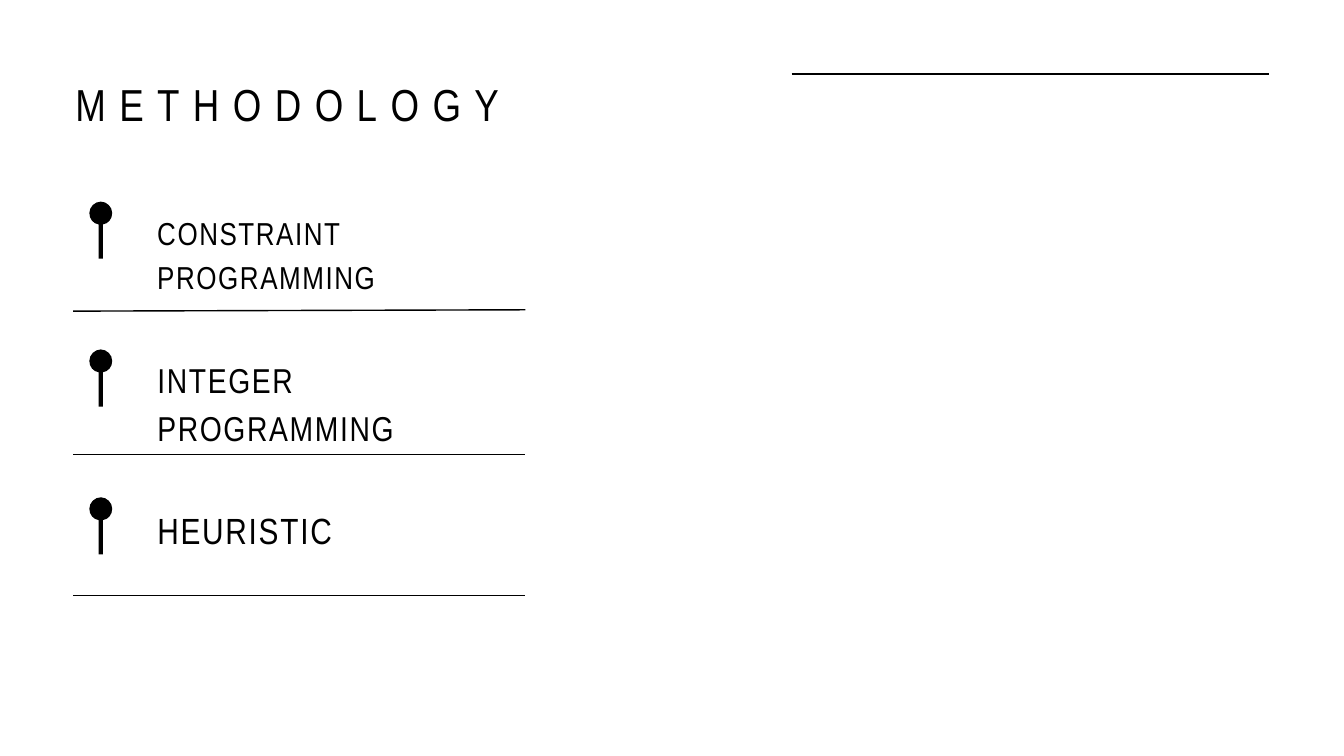
from lxml import etree
from pptx import Presentation
from pptx.dml.color import RGBColor
from pptx.enum.shapes import MSO_CONNECTOR
from pptx.enum.text import MSO_AUTO_SIZE, PP_ALIGN
from pptx.oxml.ns import qn
from pptx.util import Inches, Pt

STRAIGHT = MSO_CONNECTOR.STRAIGHT
GROW = MSO_AUTO_SIZE.SHAPE_TO_FIT_TEXT
JUSTIFY, LEFT = PP_ALIGN.JUSTIFY, PP_ALIGN.LEFT
FONT = "Arial Narrow"
COLOURS = {"ink": "000000", "paper": "FFFFFF"}
INK = RGBColor.from_string(COLOURS["ink"])

presentation = Presentation()
presentation.slide_width = Inches(20)
presentation.slide_height = Inches(11.25)
slide = presentation.slides.add_slide(presentation.slide_layouts[6])
slide.background.fill.solid()
slide.background.fill.fore_color.rgb = RGBColor.from_string(COLOURS["paper"])

# Grid of 20 columns by 11.25 rows
column = presentation.slide_width / 20
row = presentation.slide_height / 11.25


def add_text(text, left, top, width, height, size, leading, tracking, alignment):
    """Add a text box; leading and tracking are shares of the type size."""
    box = slide.shapes.add_textbox(int(left * column), int(top * row),
                                   int(width * column), int(height * row))
    frame = box.text_frame
    frame.word_wrap = True
    frame.auto_size = GROW
    frame.margin_left = frame.margin_right = frame.margin_top = frame.margin_bottom = 0
    paragraph = frame.paragraphs[0]
    paragraph.alignment = alignment
    paragraph.line_spacing = Pt(size * leading)
    run = paragraph.add_run()
    run.text = text
    paragraph.font.name = FONT
    paragraph.font.size = Pt(size)
    paragraph.font.color.rgb = INK
    run.font._element.set("spc", str(int(size * tracking * 10) * 10))


def add_rule(left, start_y, right, end_y):
    """Add a thin rule between two grid points."""
    rule = slide.shapes.add_connector(STRAIGHT, int(left * column), int(start_y * row),
                                      int(right * column), int(end_y * row))
    rule.line.color.rgb = INK
    rule.line.width = Pt(1.5)
    etree.SubElement(rule._element.spPr, qn("a:effectLst"))


# Heading and the rule at the top right
add_text("METHODOLOGY", 1.12, 1.08, 10.19, 0.86, 48, 1.3, 0.3, JUSTIFY)
add_rule(11.78, 1.1, 18.88, 1.1)

# Pin outline around the centre of its head: end point and curve controls
radius, half_stem, stem_end = 0.17, 0.03, 0.68
pin_outline = [
    ((-half_stem, radius), [(-radius, 0.09), (-0.11, 0.16)]),
    ((-half_stem, stem_end), []),
    ((half_stem, stem_end), []),
    ((half_stem, radius), []),
    ((radius, 0), [(0.11, 0.16), (radius, 0.09)]),
    ((0, -radius), [(radius, -0.09), (0.09, -radius)]),
    ((-radius, 0), [(-0.09, -radius), (-radius, -0.09)]),
]

# Methods: text, type size, top, width, height, rule start and end
methods = [
    ("CONSTRAINT PROGRAMMING", 34, 3.08, 4.26, 0.63, 4.63, 4.61),
    ("INTEGER PROGRAMMING", 37, 5.24, 3.88, 0.7, 6.76, 6.76),
    ("HEURISTIC", 39, 7.45, 3.21, 0.73, 8.86, 8.86),
]
pin_x, first_pin, pitch = 1.5, 3.17, 2.2
for index, (text, size, top, width, height, start_y, end_y) in enumerate(methods):
    pin_y = first_pin + index * pitch
    builder = slide.shapes.build_freeform((pin_x - radius) * column, pin_y * row)
    builder.add_line_segments([((pin_x + x) * column, (pin_y + y) * row)
                               for (x, y), controls in pin_outline], close=True)
    pin = builder.convert_to_shape()
    # Turn the segments of the round head into curves
    segments = list(pin._element.iter(qn("a:lnTo")))
    for segment, (end, controls) in zip(segments, pin_outline):
        if controls:
            segment.tag = qn("a:cubicBezTo")
        for place, (x, y) in enumerate(controls):
            control = etree.Element(qn("a:pt"), x=str(round((x + radius) * column)),
                                    y=str(round((y + radius) * row)))
            segment.insert(place, control)
    pin.shadow.inherit = False
    pin.fill.solid()
    pin.fill.fore_color.rgb = INK
    pin.line.fill.background()
    add_text(text, 2.34, top, width, height, size, 1.4, 0.05, LEFT)
    add_rule(1.09, start_y, 7.82, end_y)

presentation.save("out.pptx")
